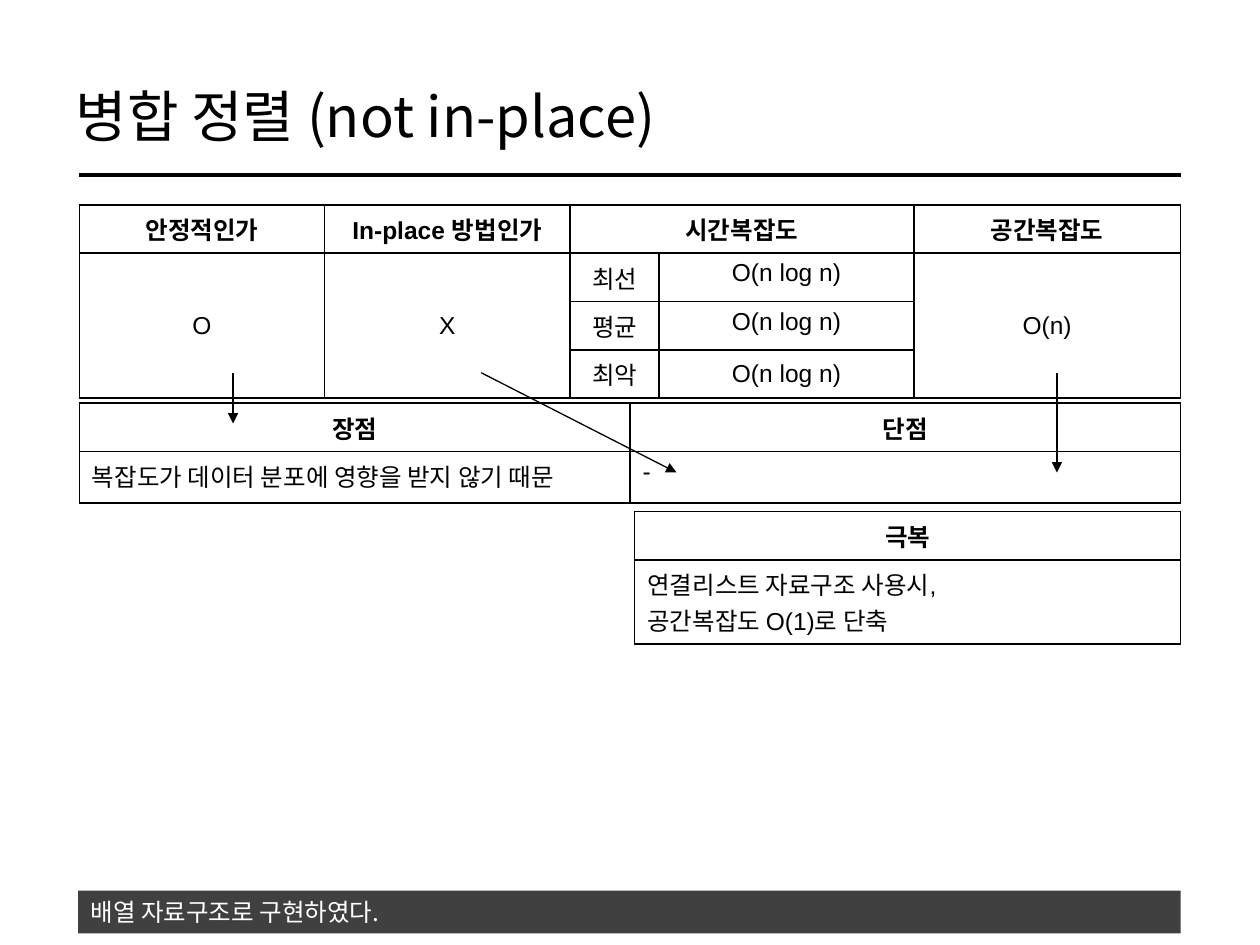
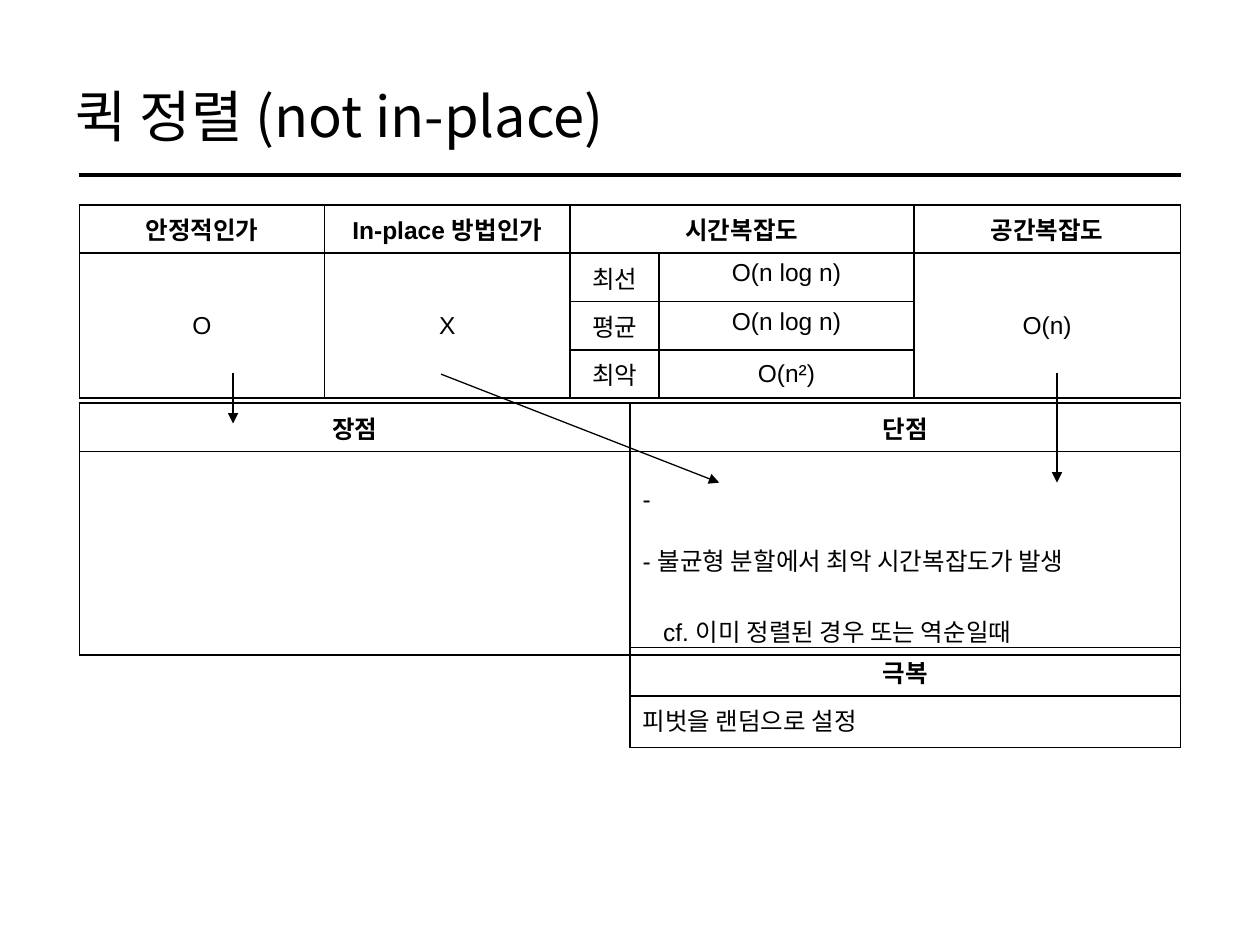
"""Build two slides that compare the properties of merge sort and quick sort."""
from dataclasses import dataclass
from typing import Any

from lxml import etree
from pptx import Presentation
from pptx import util as u
from pptx.dml.color import RGBColor
from pptx.enum import shapes, text
from pptx.oxml.ns import qn

BLACK = RGBColor(0, 0, 0)
WHITE = RGBColor(255, 255, 255)
CHARCOAL = RGBColor(0x40, 0x40, 0x40)
LATIN = "Arial"
KOREAN = "Noto Sans CJK KR"
LEFT, WIDTH = 45.36, 629.3
RIGHT = LEFT + WIDTH
ROW = 27.5
CENTER, START = text.PP_ALIGN.CENTER, text.PP_ALIGN.LEFT
TOP, MIDDLE = text.MSO_ANCHOR.TOP, text.MSO_ANCHOR.MIDDLE
HEADING = {"size": u.Pt(14), "name": LATIN, "bold": True}
BODY = {"size": u.Pt(14), "name": LATIN, "bold": False}
TITLE = {"size": u.Pt(32), "name": KOREAN, "bold": False}
NOTE = {"size": u.Pt(14), "name": KOREAN, "bold": False}


@dataclass
class Line:
    words: str
    before: float = 0
    indent: float = 0


@dataclass
class Entry:
    row: int
    column: int
    lines: list[Line]
    style: dict[str, Any]
    align: Any = CENTER
    anchor: Any = TOP
    span: tuple[int, int] = (1, 1)
    margin_top: float = 3.6


@dataclass
class Grid:
    left: float
    top: float
    columns: list[float]
    rows: list[float]
    entries: list[Entry]


@dataclass
class Arrow:
    start: tuple[float, float]
    end: tuple[float, float]


@dataclass
class Topic:
    title: str
    worst: str
    comparison: Grid
    solution: Grid
    arrows: list[Arrow]
    note: str = ""


def apply(target: Any, values: dict[str, Any]) -> None:
    for name, value in values.items():
        setattr(target, name, value)


def write(frame: Any, lines: list[Line], style: dict[str, Any],
          color: RGBColor = BLACK, align: Any = START) -> None:
    for index, line in enumerate(lines):
        para = frame.add_paragraph() if index else frame.paragraphs[0]
        apply(para, {"alignment": align, "space_before": u.Pt(line.before)})
        if line.indent:
            para._p.get_or_add_pPr().set("marL", str(u.Pt(line.indent)))
        span = para.add_run()
        span.text = line.words
        apply(span.font, style)
        span.font.color.rgb = color
        etree.SubElement(span._r.get_or_add_rPr(), qn("a:ea"), typeface=KOREAN)


def add_borders(cell: Any) -> None:
    properties = cell._tc.get_or_add_tcPr()
    for side in ("a:lnL", "a:lnR", "a:lnT", "a:lnB"):
        edge = etree.SubElement(properties, qn(side), w=str(u.Pt(1)))
        fill = etree.SubElement(edge, qn("a:solidFill"))
        etree.SubElement(fill, qn("a:srgbClr"), val=str(BLACK))


def draw_grid(page: Any, grid: Grid) -> None:
    frame = page.shapes.add_table(
        len(grid.rows), len(grid.columns), u.Pt(grid.left), u.Pt(grid.top),
        u.Pt(sum(grid.columns)), u.Pt(sum(grid.rows)))
    table = frame.table
    apply(table, {"first_row": False, "horz_banding": False})
    for column, width in zip(table.columns, grid.columns):
        column.width = u.Pt(width)
    for row, height in zip(table.rows, grid.rows):
        row.height = u.Pt(height)
    for cell in table.iter_cells():
        add_borders(cell)
        cell.fill.background()
    for entry in grid.entries:
        cell = table.cell(entry.row, entry.column)
        height, width = entry.span
        if entry.span != (1, 1):
            cell.merge(table.cell(entry.row + height - 1, entry.column + width - 1))
        apply(cell, {"vertical_anchor": entry.anchor, "margin_top": u.Pt(entry.margin_top)})
        write(cell.text_frame, entry.lines, entry.style, align=entry.align)


def draw_line(page: Any, start: tuple[float, float], end: tuple[float, float],
              weight: float, arrow: bool = False) -> None:
    connector = page.shapes.add_connector(
        shapes.MSO_CONNECTOR.STRAIGHT, *(u.Pt(value) for value in start + end))
    connector.line.width = u.Pt(weight)
    connector.line.color.rgb = BLACK
    properties = connector._element.spPr
    if arrow:
        etree.SubElement(properties.find(qn("a:ln")), qn("a:tailEnd"), type="triangle")
    etree.SubElement(properties, qn("a:effectLst"))


def draw_note(page: Any, words: str) -> None:
    box = page.shapes.add_shape(
        shapes.MSO_SHAPE.RECTANGLE, u.Pt(LEFT - 0.7), u.Pt(509), u.Pt(630), u.Pt(24.5))
    box.shadow.inherit = False
    box.fill.solid()
    box.fill.fore_color.rgb = CHARCOAL
    box.line.fill.background()
    box.text_frame.word_wrap = True
    write(box.text_frame, [Line(words)], NOTE, WHITE)


def heading(words: str, column: int = 0, span: tuple[int, int] = (1, 1)) -> Entry:
    return Entry(0, column, [Line(words)], HEADING, span=span)


def complexity_grid(worst: str) -> Grid:
    entries = [heading("안정적인가"), heading("In-place 방법인가", 1),
               heading("시간복잡도", 2, (1, 2)), heading("공간복잡도", 4)]
    for column, words in ((0, "O"), (1, "X"), (4, "O(n)")):
        entries.append(Entry(1, column, [Line(words)], BODY, anchor=MIDDLE, span=(3, 1)))
    cases = (("최선", "O(n log n)", TOP), ("평균", "O(n log n)", TOP), ("최악", worst, MIDDLE))
    for row, (case, cost, anchor) in enumerate(cases, 1):
        for column, words in ((2, case), (3, cost)):
            entries.append(Entry(row, column, [Line(words)], BODY, anchor=anchor))
    return Grid(LEFT, 117, [140.2, 140.2, 51, 145.5, 152.4], [ROW] * 4, entries)


def comparison_grid(height: float, *answers: Entry) -> Grid:
    return Grid(LEFT, 230.4, [WIDTH / 2] * 2, [ROW, height],
                [heading("장점"), heading("단점", 1), *answers])


def solution_grid(left: float, top: float, height: float, *words: str) -> Grid:
    answer = Entry(1, 0, [Line(line) for line in words], BODY, START)
    return Grid(left, top, [RIGHT - left], [ROW, height], [heading("극복"), answer])


def draw_topic(deck: Any, topic: Topic) -> None:
    page = deck.slides.add_slide(deck.slide_layouts[5])
    title = page.shapes.title
    apply(title, {"left": u.Pt(36), "top": u.Pt(15), "width": u.Pt(648), "height": u.Pt(102)})
    title.text_frame.vertical_anchor = MIDDLE
    write(title.text_frame, [Line(topic.title)], TITLE)
    draw_line(page, (LEFT, 100), (RIGHT, 100), 2)
    for grid in (topic.comparison, complexity_grid(topic.worst), topic.solution):
        draw_grid(page, grid)
    for arrow in topic.arrows:
        draw_line(page, arrow.start, arrow.end, 0.75, True)
    if topic.note:
        draw_note(page, topic.note)


STABLE_ARROW = Arrow((133.2, 213), (133.2, 242))
TOPICS = [
    Topic(
        "병합 정렬 (not in-place)", "O(n log n)",
        comparison_grid(
            29.5,
            Entry(1, 0, [Line("복잡도가 데이터 분포에 영향을 받지 않기 때문")], BODY, START),
            Entry(1, 1, [Line("-")], BODY, START)),
        solution_grid(362.7, 292.4, 48, "연결리스트 자료구조 사용시,", "공간복잡도 O(1)로 단축"),
        [Arrow((275, 213), (386.6, 270)), Arrow((604, 213), (604, 270)), STABLE_ARROW],
        "배열 자료구조로 구현하였다."),
    Topic(
        "퀵 정렬 (not in-place)", "O(n²)",
        comparison_grid(
            116,
            Entry(1, 1, [Line("-"),
                         Line("- 불균형 분할에서 최악 시간복잡도가 발생", 16),
                         Line("cf. 이미 정렬된 경우 또는 역순일때", 20.3, 11.7)],
                  BODY, START, margin_top=19.7)),
        solution_grid(LEFT + WIDTH / 2, 370, 29.5, "피벗을 랜덤으로 설정"),
        [Arrow((252, 213.8), (411, 275.8)), Arrow((604, 213), (604, 275.8)), STABLE_ARROW]),
]


def main() -> None:
    deck = Presentation()
    apply(deck, {"slide_width": u.Pt(720), "slide_height": u.Pt(540)})
    for topic in TOPICS:
        draw_topic(deck, topic)
    deck.save("out.pptx")


main()
